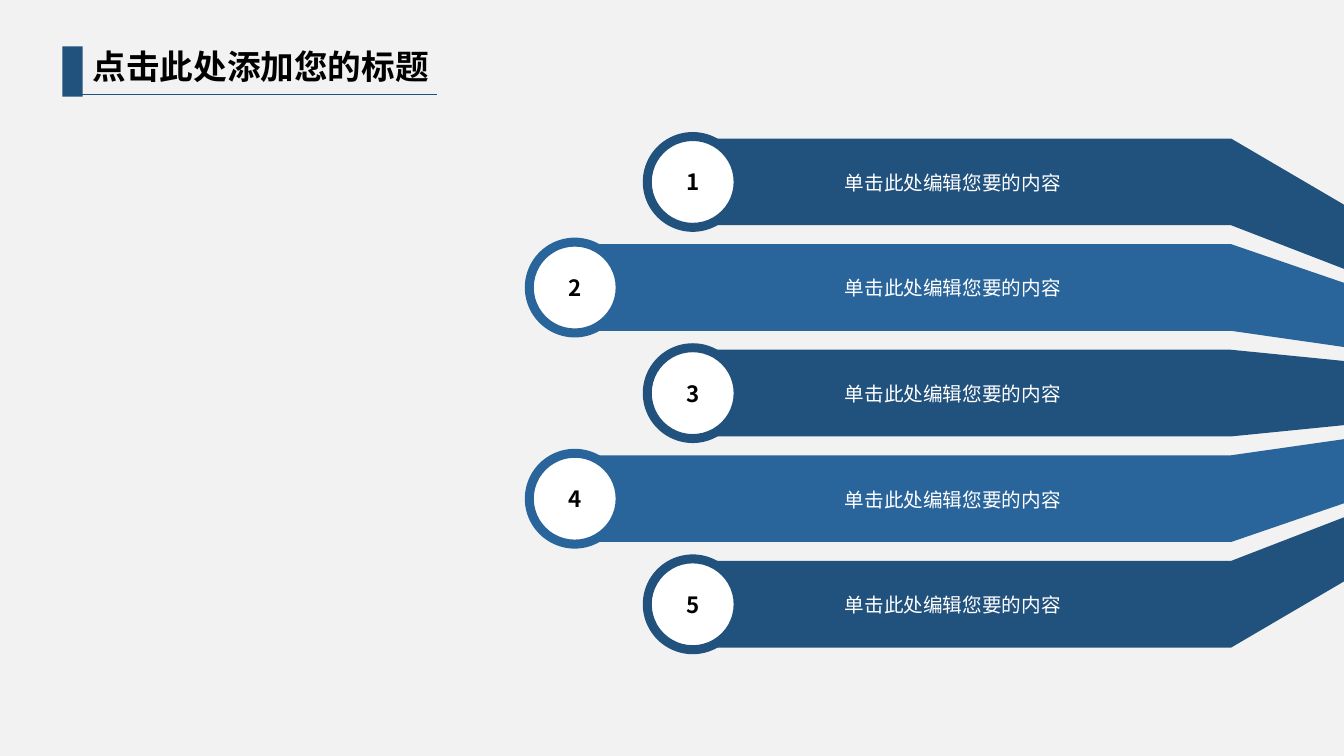
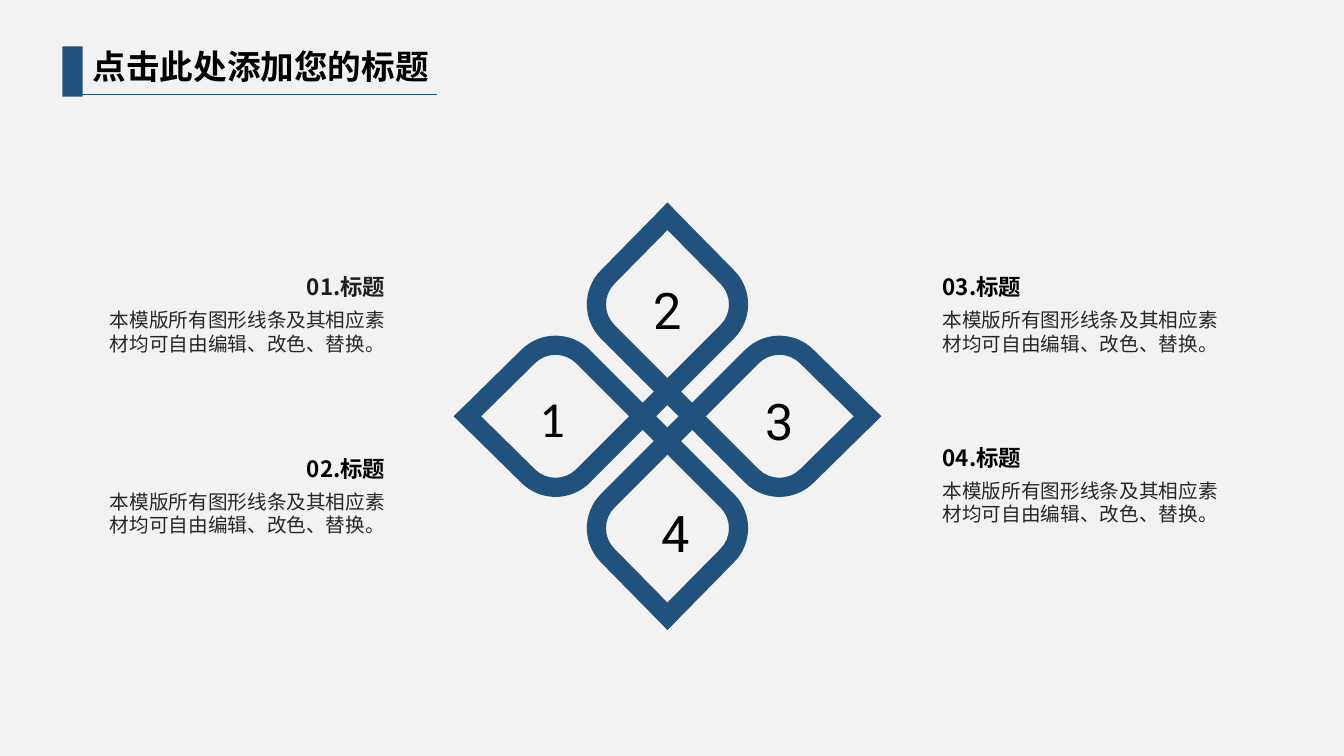
from math import cos, radians, sin, tan

from lxml.etree import SubElement
from pptx import Presentation
from pptx.dml.color import RGBColor
from pptx.enum.shapes import MSO_CONNECTOR as Connector, MSO_SHAPE as Shape
from pptx.enum.text import MSO_ANCHOR as Anchor, MSO_AUTO_SIZE as AutoSize, PP_ALIGN as Align
from pptx.oxml.ns import qn
from pptx.util import Inches, Pt

NAVY = RGBColor(0x21, 0x51, 0x7D)
BLUE = RGBColor(0x29, 0x65, 0x9B)
PAPER = RGBColor(0xF2, 0xF2, 0xF2)
WHITE = RGBColor(0xFF, 0xFF, 0xFF)
BLACK = RGBColor(0x00, 0x00, 0x00)
SOFT_BLACK = RGBColor(0x1E, 0x1E, 0x1E)
GREY = RGBColor(0x26, 0x26, 0x26)

FONT = "Noto Sans CJK SC"
WIDTH, HEIGHT = 13.33, 7.5
TITLE = "点击此处添加您的标题"
BAR_TEXT = "单击此处编辑您要的内容"
CAPTION_TEXT = "本模版所有图形线条及其相应素材均可自由编辑、改色、替换。"


# Drawing helpers; all lengths are in inches
def paint(shape, color):
    shape.shadow.inherit = False
    shape.fill.solid()
    shape.fill.fore_color.rgb = color
    shape.line.fill.background()
    return shape


def add_preset(shapes, kind, box, color):
    return paint(shapes.add_shape(kind, *map(Inches, box)), color)


def add_outline(shapes, segments, color):
    """Closed outline: a segment of one point is a line, one of three a curve."""
    start, *rest = [(Inches(x), Inches(y)) for segment in segments for x, y in segment]
    builder = shapes.build_freeform(*start)
    builder.add_line_segments(rest, close=True)
    shape = paint(builder.convert_to_shape(), color)
    lines = iter(shape._element.findall(".//" + qn("a:lnTo")))
    for segment in segments[1:]:
        first, *others = [next(lines) for _ in segment]
        if others:
            first.tag = qn("a:cubicBezTo")
            for line in others:
                first.append(line[0])
                line.getparent().remove(line)
    return shape


def write(frame, text, size, color, bold=False, font=FONT, align=Align.LEFT):
    paragraph = frame.paragraphs[0]
    paragraph.text = text
    paragraph.alignment = align
    paragraph.font.size = Pt(size)
    paragraph.font.bold = bold
    paragraph.font.color.rgb = color
    paragraph.font.name = font
    defaults = paragraph._p.pPr.find(qn("a:defRPr"))
    SubElement(defaults, qn("a:ea")).set("typeface", font)


def add_text(shapes, box, text, size, color, wrap=True, inset=(0.1, 0.05), **style):
    frame = shapes.add_textbox(*map(Inches, box)).text_frame
    frame.word_wrap = wrap
    frame.auto_size = AutoSize.SHAPE_TO_FIT_TEXT
    frame.margin_left = frame.margin_right = Inches(inset[0])
    frame.margin_top = frame.margin_bottom = Inches(inset[1])
    write(frame, text, size, color, **style)


def add_title(slide, left, top):
    """Accent block, rule and title text."""
    shapes = slide.shapes.add_group_shape().shapes
    add_preset(shapes, Shape.RECTANGLE, (left, top, 0.2, 0.5), NAVY)
    rule_y = top + 0.48
    ends = (left + 0.14, rule_y, left + 3.71, rule_y)
    rule = shapes.add_connector(Connector.STRAIGHT, *map(Inches, ends))
    rule.line.color.rgb = NAVY
    rule.line.width = Pt(0.5)
    SubElement(rule._element.spPr, qn("a:effectLst"))
    add_text(shapes, (left + 0.2, top - 0.05, 3.92, 0.5), TITLE, 24, BLACK, bold=True)


def new_slide(presentation):
    slide = presentation.slides.add_slide(presentation.slide_layouts[6])
    add_title(slide, 0.62, 0.46)
    return slide


# Slide of converging bars
def add_badge(slide, center_x, center_y, number, color):
    """White numbered disc inside a coloured ring."""
    shapes = slide.shapes.add_group_shape().shapes

    def circle(kind, size, fill):
        box = (center_x - size / 2, center_y - size / 2, size, size)
        return add_preset(shapes, kind, box, fill)

    disc = circle(Shape.OVAL, 0.9, WHITE)
    disc.text_frame.vertical_anchor = Anchor.MIDDLE
    write(disc.text_frame, str(number), 16, BLACK, bold=True, align=Align.CENTER)
    circle(Shape.DONUT, 0.99, color).adjustments[0] = 0.09


def add_bars(slide, bend_x, middle_y, count=5, span=4.19, height=0.86):
    """Bars that narrow towards the middle row after the bend."""
    shrink = 0.74
    for index in range(count):
        color, left, badge_x = ((NAVY, 6.88, 6.87), (BLUE, 5.86, 5.7))[index % 2]
        offset = (index / (count - 1) - 0.5) * span
        upper, lower = offset - height / 2, offset + height / 2
        add_preset(slide.shapes, Shape.RECTANGLE,
                   (left, middle_y + upper, bend_x - left, height), color)
        corners = [
            (bend_x, middle_y + lower),
            (WIDTH, middle_y + lower * shrink),
            (WIDTH, middle_y + upper * shrink),
            (bend_x, middle_y + upper),
        ]
        add_outline(slide.shapes, [[corner] for corner in corners], color)
        add_badge(slide, badge_x, middle_y + offset, index + 1, color)
        add_text(slide.shapes, (8.28, middle_y + offset - 0.16, 2.51, 0.34),
                 BAR_TEXT, 14, WHITE)


def build_bars_slide(presentation):
    add_bars(new_slide(presentation), 12.21, 3.9)


# Slide of interlaced petals
def arc(center, radius, start, end):
    """Line to an arc, then two curves along it; degrees clockwise from the right."""
    half = radians(end - start) / 2
    reach = 4 / 3 * tan(half / 4)

    def at(angle, pull=0):
        return (center[0] + radius * (cos(angle) - pull * sin(angle)),
                center[1] + radius * (sin(angle) + pull * cos(angle)))

    first = radians(start)
    segments = [[at(first)]]
    for angle in (first, first + half):
        segments.append([at(angle, reach), at(angle + half, -reach), at(angle + half)])
    return segments


def ribbon_segments():
    """A band from the bottom tip to the right tip, around the origin."""
    tip, inner_tip, thickness = 2.12, 1.98, 0.13
    near, far = 0.32, 1.11
    bottom_turn, right_turn = (-near, far), (far, -near)
    outer, inner = 0.48, 0.29
    return [
        [(thickness, inner_tip)], [(0, tip)],
        *arc(bottom_turn, outer, 135, 225), *arc(right_turn, outer, 225, 315),
        [(tip, 0)], [(inner_tip, thickness)],
        *arc(right_turn, inner, 315, 225), *arc(bottom_turn, inner, 225, 135),
    ]


def add_petals(slide, center_x, center_y):
    shapes = slide.shapes.add_group_shape().shapes
    segments = ribbon_segments()
    for _ in range(4):
        placed = [[(center_x + x, center_y + y) for x, y in segment] for segment in segments]
        add_outline(shapes, placed, NAVY)
        segments = [[(-y, x) for x, y in segment] for segment in segments]  # quarter turn

    # Petal numbers
    for number, x, y, font in (
        ("2", -0.24, -1.41, "Roboto"), ("3", 0.87, -0.31, "Roboto"),
        ("4", -0.16, 0.8, "Roboto"), ("1", -1.37, -0.34, "Calibri"),
    ):
        add_text(slide.shapes, (center_x + x, center_y + y, 0.48, 0.71), number, 36,
                 BLACK, wrap=False, font=font)


def add_caption(slide, left, top, body_top, heading, align, color=BLACK):
    """Heading with its paragraph below."""
    style = dict(inset=(0.2, 0.1), align=align)
    add_text(slide.shapes, (left, top, 3.19, 0.47), heading, 16, color, bold=True, **style)
    add_text(slide.shapes, (left, body_top, 3.19, 0.67), CAPTION_TEXT, 14, GREY, **style)


def build_petals_slide(presentation):
    slide = new_slide(presentation)
    add_petals(slide, 6.62, 4.13)
    left_column, right_column = 0.83, 9.15
    add_caption(slide, left_column, 2.61, 2.96, "01.标题", Align.RIGHT, SOFT_BLACK)
    add_caption(slide, left_column, 4.42, 4.76, "02.标题", Align.RIGHT)
    add_caption(slide, right_column, 2.61, 2.96, "03.标题", Align.LEFT)
    add_caption(slide, right_column, 4.31, 4.65, "04.标题", Align.LEFT)


def main():
    presentation = Presentation()
    presentation.slide_width, presentation.slide_height = Inches(WIDTH), Inches(HEIGHT)
    background = presentation.slide_master.background.fill
    background.solid()
    background.fore_color.rgb = PAPER
    build_bars_slide(presentation)
    build_petals_slide(presentation)
    presentation.save("out.pptx")


if __name__ == "__main__":
    main()
